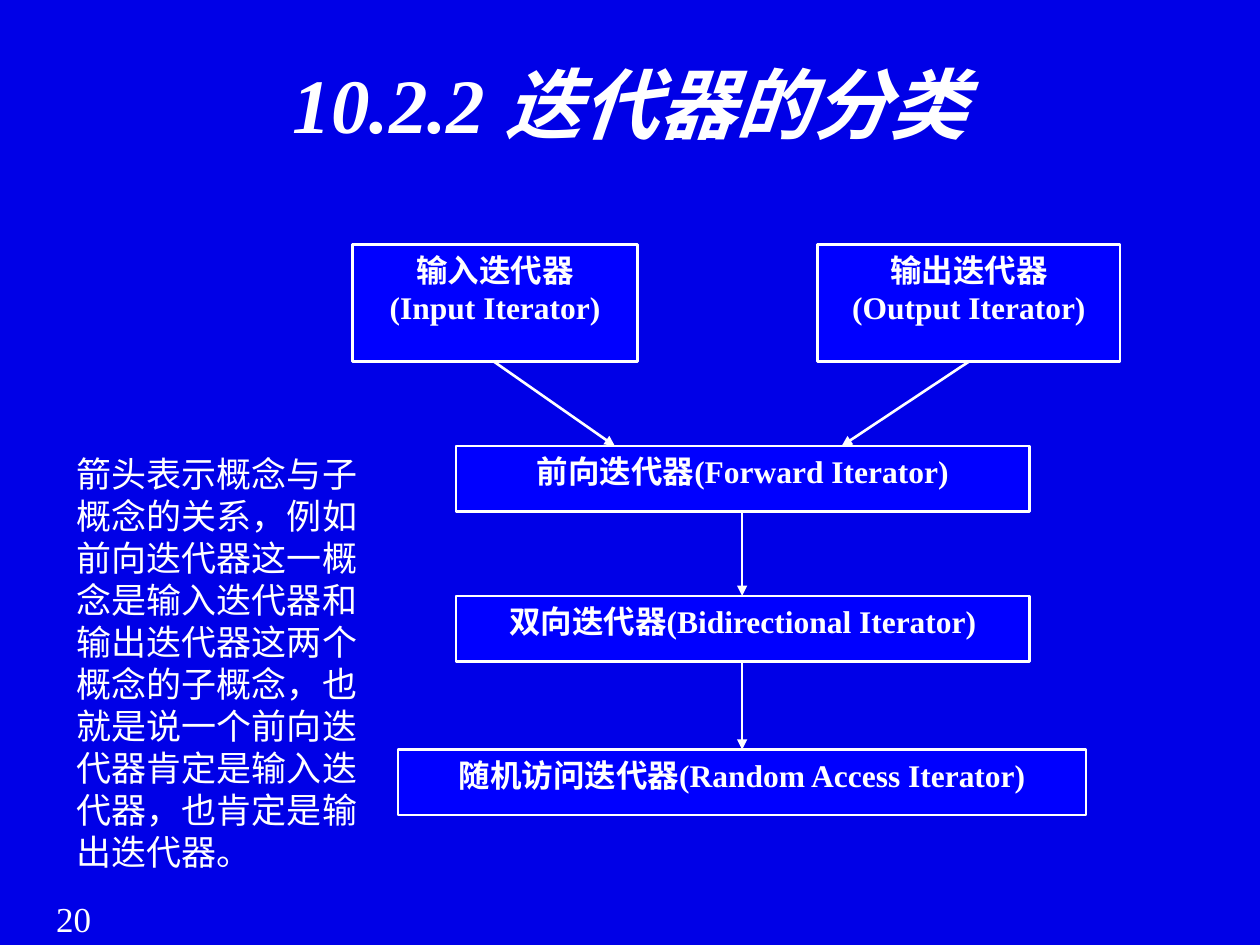
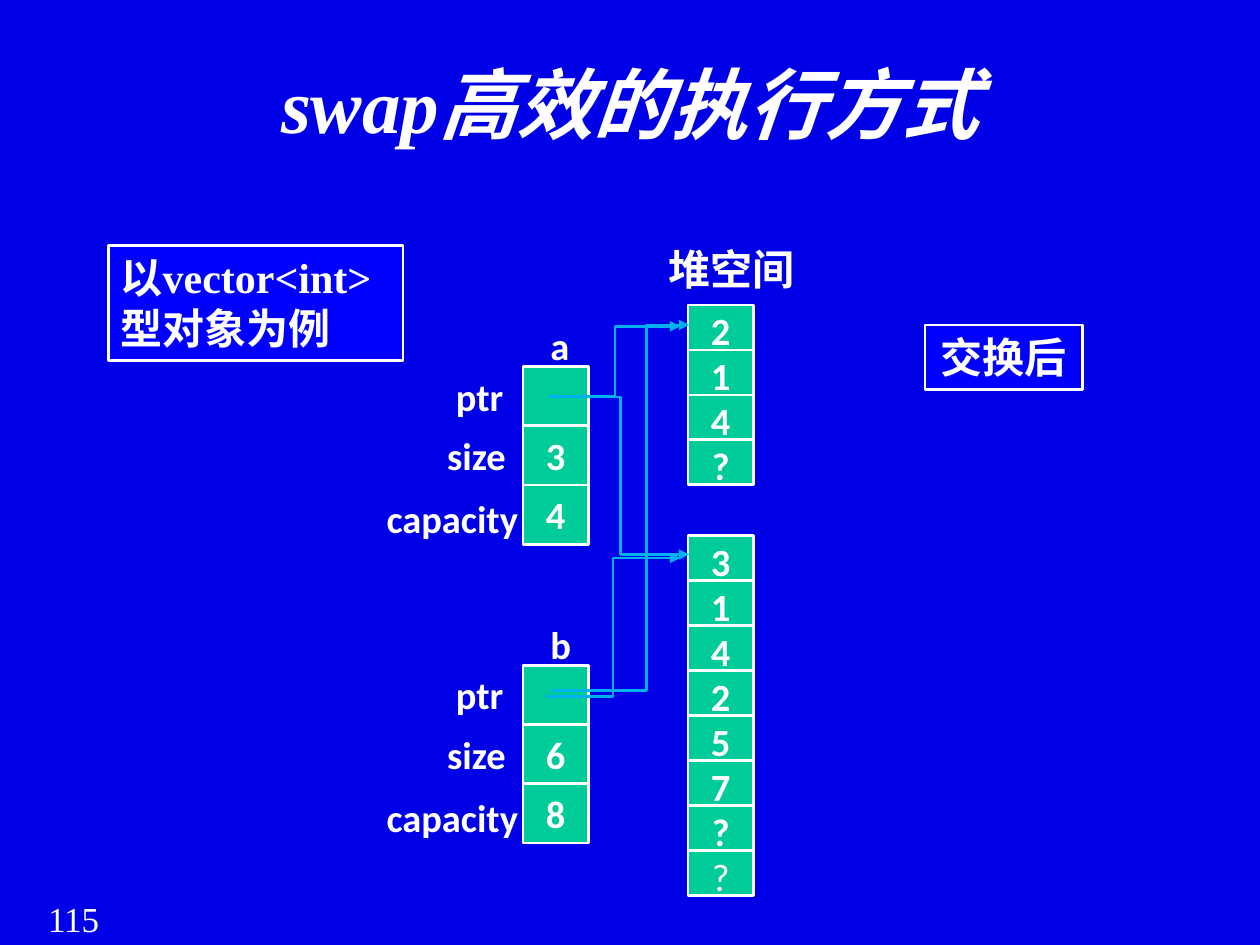
import pptx
import pptx.util
import pptx.dml.color
import pptx.enum.shapes
import pptx.enum.text
import pptx.oxml.ns
import lxml.etree

GRID = pptx.util.Inches(1)  # ten columns by seven and a half rows
SERIF, SANS, CJK = "Times New Roman", "Calibri", "Noto Sans CJK SC"
BACK, PANEL, CELL, POINTER, WHITE = "0000E7", "0000FF", "00CC99", "00B0F0", "FFFFFF"
LEFT, CENTER = pptx.enum.text.PP_ALIGN.LEFT, pptx.enum.text.PP_ALIGN.CENTER
LINE_WIDTH = pptx.util.Pt(1.5)
FIELD_ROW, HEAP_ROW = 0.47, 0.357


def grid(*cells):
    return [round(GRID * c) for c in cells]


def rgb(hex_colour):
    return pptx.dml.color.RGBColor.from_string(hex_colour)


def add_child(parent, tag, **attributes):
    child = lxml.etree.SubElement(parent, pptx.oxml.ns.qn(tag))
    for name, value in attributes.items():
        child.set(name, value)
    return child


def write(s, text, size, font=SERIF, bold=True, italic=False, align=CENTER, inset=0.05):
    tf = s.text_frame
    tf.word_wrap = True
    tf.vertical_anchor = pptx.enum.text.MSO_ANCHOR.TOP
    tf.margin_top = tf.margin_bottom = round(GRID * inset)
    tf.text = text
    p = tf.paragraphs[0]
    p.alignment = align
    f = p.font
    f.name, f.size, f.bold, f.italic = font, pptx.util.Pt(size), bold, italic
    f.color.rgb = rgb(WHITE)
    for r in p.runs:
        add_child(r._r.get_or_add_rPr(), "a:ea", typeface=CJK)


def add_label(slide, at, text, size, **style):
    write(slide.shapes.add_textbox(*grid(*at)), text, size, **style)


def add_box(slide, at, text, size, fill=PANEL, **style):
    s = slide.shapes.add_shape(pptx.enum.shapes.MSO_SHAPE.RECTANGLE, *grid(*at))
    s.shadow.inherit = False
    s.fill.solid()
    s.fill.fore_color.rgb = rgb(fill)
    s.line.color.rgb = rgb(WHITE)
    s.line.width = LINE_WIDTH
    if text:
        write(s, text, size, **style)


def add_arrow(slide, start, end, colour=WHITE, bend=None):
    """Straight arrow, or an elbow that turns at the share bend of its width."""
    kinds = pptx.enum.shapes.MSO_CONNECTOR
    kind = kinds.STRAIGHT if bend is None else kinds.ELBOW
    c = slide.shapes.add_connector(kind, *grid(*start, *end))
    c.line.color.rgb = rgb(colour)
    c.line.width = LINE_WIDTH
    add_child(c.line._get_or_add_ln(), "a:tailEnd", type="triangle")
    properties = c._element.spPr
    add_child(properties, "a:effectLst")
    if bend is not None:
        guides = properties.find(".//" + pptx.oxml.ns.qn("a:avLst"))
        add_child(guides, "a:gd", name="adj1", fmla=f"val {round(bend * 100000)}")


def add_slide(prs, title, number):
    slide = prs.slides.add_slide(prs.slide_layouts[5])
    s = slide.shapes.title
    s.left, s.top, s.width, s.height = grid(0.69, 0.4, 8.62, 1.45)
    write(s, title, 44, italic=True)
    add_label(slide, (0.17, 7.07, 0.83, 0.43), number, 20, bold=False)
    return slide


def add_vector(slide, name, top, size, capacity):
    """Object with its three fields, each labelled on the left."""
    add_label(slide, (4.27, top - 0.4, 0.57, 0.51), name, 22, font=SANS, align=LEFT)
    fields = [("ptr", "", 3.52, 0.87, 0), ("size", size, 3.45, 0.87, FIELD_ROW),
              ("capacity", capacity, 2.97, 1.27, 0.97)]
    for row, (field, value, left, width, drop) in enumerate(fields):
        add_box(slide, (4.15, top + row * FIELD_ROW, 0.52, FIELD_ROW), value, 22,
                fill=CELL, font=SANS)
        add_label(slide, (left, top + drop, width, 0.51), field, 22, font=SANS, align=LEFT)


def add_heap_block(slide, top, values, plain_row=None):
    for row, value in enumerate(values):
        add_box(slide, (5.46, top + row * HEAP_ROW, 0.52, HEAP_ROW), value, 22,
                fill=CELL, font=SANS, inset=0.02, bold=row != plain_row)


def build_iterator_slide(prs):
    slide = add_slide(prs, "10.2.2 迭代器的分类", "20")
    boxes = [
        ((2.8, 1.94, 2.26, 0.93), "输入迭代器\v(Input Iterator)"),
        ((6.49, 1.94, 2.4, 0.93), "输出迭代器\v(Output Iterator)"),
        ((3.62, 3.54, 4.55, 0.52), "前向迭代器(Forward Iterator)"),
        ((3.62, 4.73, 4.55, 0.52), "双向迭代器(Bidirectional Iterator)"),
        ((3.16, 5.95, 5.46, 0.52), "随机访问迭代器(Random Access Iterator)"),
    ]
    for at, text in boxes:
        add_box(slide, at, text, 18)
    arrows = [((3.92, 2.87), (4.88, 3.54)), ((7.69, 2.87), (6.68, 3.54)),
              ((5.89, 4.06), (5.89, 4.73)), ((5.89, 5.25), (5.89, 5.95))]
    for start, end in arrows:
        add_arrow(slide, start, end)
    add_label(slide, (0.51, 3.54, 2.68, 3.47),
              "箭头表示概念与子概念的关系，例如前向迭代器这一概念是输入迭代器和"
              "输出迭代器这两个概念的子概念，也就是说一个前向迭代器肯定是输入迭代器，"
              "也肯定是输出迭代器。", 20, font=CJK, bold=False, align=LEFT)


def build_swap_slide(prs):
    slide = add_slide(prs, "swap高效的执行方式", "115")
    add_label(slide, (5.21, 1.88, 1.43, 0.51), "堆空间", 24, font=SANS, align=LEFT)
    add_heap_block(slide, 2.42, "214?")
    add_heap_block(slide, 4.25, "314257??", plain_row=7)
    add_vector(slide, "a", 2.91, "3", "4")
    add_vector(slide, "b", 5.28, "6", "8")
    pointers = [((4.36, 3.15), (5.4, 2.59), 0.5), ((4.33, 5.53), (5.4, 4.43), 0.5),
                ((4.38, 5.48), (5.47, 2.58), 0.69), ((4.38, 3.15), (5.47, 4.4), 0.5)]
    for start, end, bend in pointers:
        add_arrow(slide, start, end, POINTER, bend)
    add_box(slide, (7.34, 2.58, 1.25, 0.51), "交换后", 24)
    add_box(slide, (0.86, 1.95, 2.34, 0.91), "以vector<int>型对象为例", 24, align=LEFT)


def main():
    prs = pptx.Presentation()
    prs.slide_width, prs.slide_height = grid(10, 7.5)
    fill = prs.slide_master.background.fill
    fill.solid()
    fill.fore_color.rgb = rgb(BACK)
    build_iterator_slide(prs)
    build_swap_slide(prs)
    prs.save("out.pptx")


if __name__ == "__main__":
    main()
